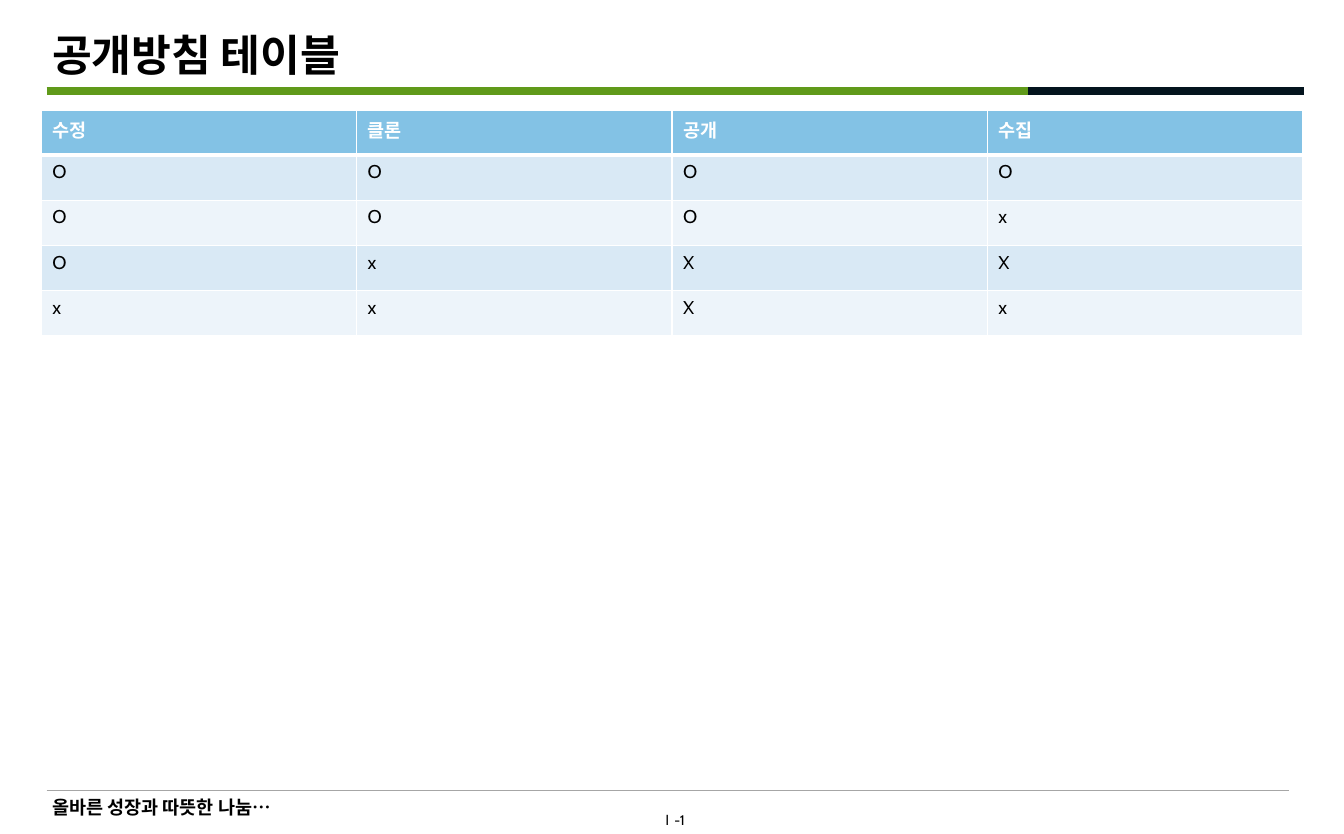
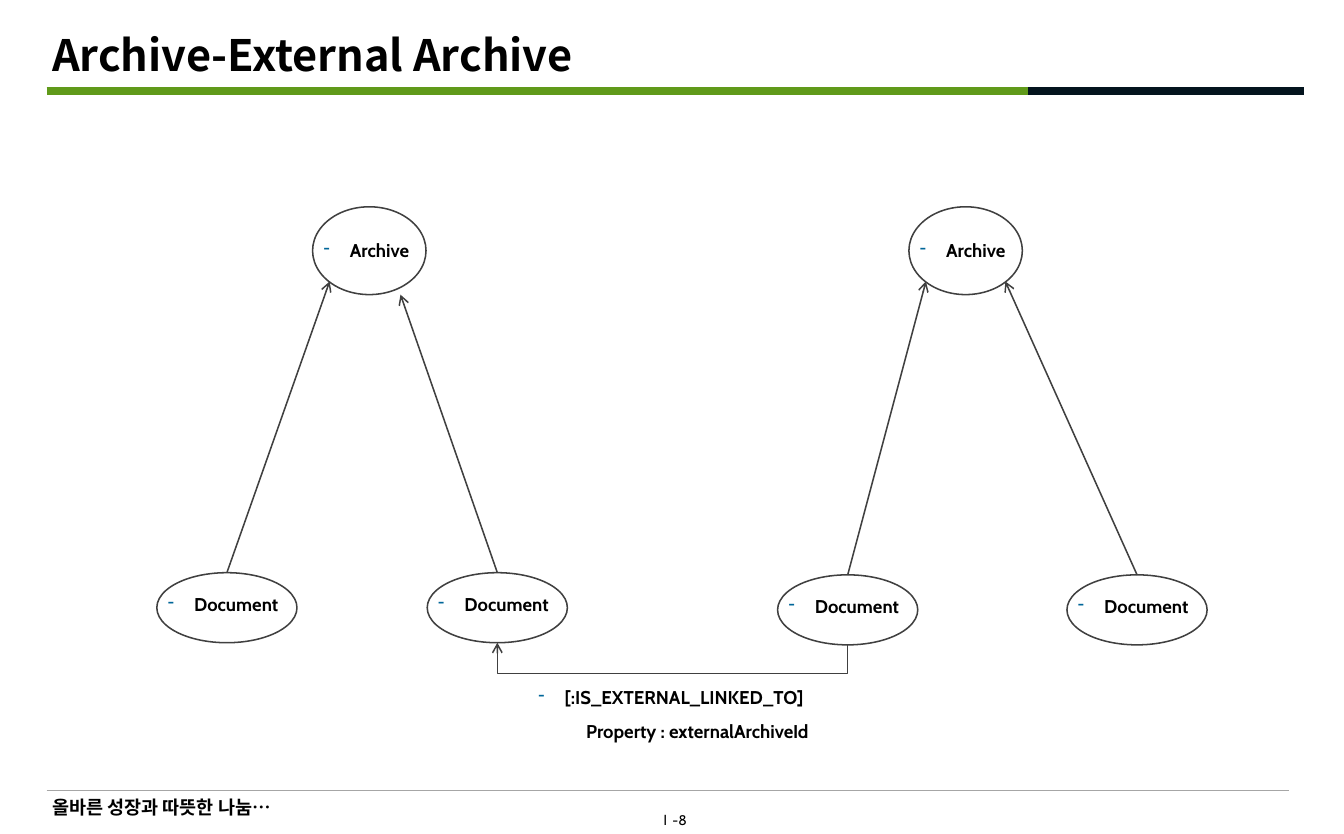
from lxml import etree
from pptx import Presentation
from pptx.dml.color import RGBColor
from pptx.enum.shapes import MSO_CONNECTOR, MSO_SHAPE
from pptx.enum.text import MSO_ANCHOR, PP_ALIGN
from pptx.oxml.ns import qn
from pptx.util import Inches, Pt

STRAIGHT, ELBOW = MSO_CONNECTOR.STRAIGHT, MSO_CONNECTOR.ELBOW
ELLIPSE = MSO_SHAPE.OVAL
TOP, MIDDLE = MSO_ANCHOR.TOP, MSO_ANCHOR.MIDDLE
LEFT, CENTER = PP_ALIGN.LEFT, PP_ALIGN.CENTER

BODY_FONT, TITLE_FONT = "Cabin", "Noto Sans CJK KR"
BLACK, WHITE = "000000", "FFFFFF"
GREEN, NAVY, RULE_GRAY = "609A1A", "04141E", "A6A6A6"
OUTLINE, BULLET_BLUE = "404040", "006699"
HEADER_FILL, BAND_FILLS = "83C2E5", ("D9E9F5", "EDF4FA")

MARGIN, CONTENT_WIDTH = 3.06, 93.87
RULE_LEFT, TITLE_RULE, FOOTER_RULE = 3.48, 10.93, 94.8
DIAGONAL = 0.35


def color(value):
    return RGBColor.from_string(value)


def add_node(parent, tag, **attributes):
    return etree.SubElement(parent, qn(tag), attributes)


class Slides:
    def __init__(self):
        self.deck = Presentation()
        self.deck.slide_width = Inches(12.08)
        self.deck.slide_height = Inches(7.5)
        self.page = None

    def x(self, percent):
        return round(self.deck.slide_width * percent / 100)

    def y(self, percent):
        return round(self.deck.slide_height * percent / 100)

    def frame(self, left, top, width, height):
        return self.x(left), self.y(top), self.x(width), self.y(height)

    def start(self, title, number):
        self.page = self.deck.slides.add_slide(self.deck.slide_layouts[6])
        self.line((RULE_LEFT, TITLE_RULE), (79.8, TITLE_RULE), GREEN, 5)
        self.line((RULE_LEFT, FOOTER_RULE), (95.94, FOOTER_RULE), RULE_GRAY, 0.25)
        self.line((76.5, TITLE_RULE), (97, TITLE_RULE), NAVY, 5)
        self.text("올바른 성장과 따뜻한 나눔…", MARGIN, 95.2, 21.52, 3.2, anchor=MIDDLE)
        self.text(title, MARGIN, 1.73, CONTENT_WIDTH, 9.47, 28, TITLE_FONT, anchor=MIDDLE)
        self.page_number(number)

    def page_number(self, number):
        box = self.text("Ⅰ", 42.47, 96.53, 15.15, 3.47, 9, bold=False, align=CENTER)
        para = box.text_frame.paragraphs[0]
        para.line_spacing = 1.05
        para.runs[0].font.name = TITLE_FONT
        span = para.add_run()
        span.text = f"-{number}"

    def style(self, para, size=12, font=BODY_FONT, bold=True, ink=BLACK):
        para.font.size = Pt(size)
        para.font.bold = bold
        para.font.name = font
        para.font.color.rgb = color(ink)
        add_node(para._p.pPr.find(qn("a:defRPr")), "a:ea", typeface=TITLE_FONT)

    def add_bullet(self, para):
        props = para._p.get_or_add_pPr()
        props.set("marL", str(Pt(17)))
        props.set("indent", str(-Pt(17)))
        add_node(add_node(props, "a:buClr"), "a:srgbClr", val=BULLET_BLUE)
        add_node(props, "a:buChar", char="-")

    def text(self, words, left, top, width, height, size=12, font=BODY_FONT,
             bold=True, align=LEFT, anchor=TOP, bullet=False):
        box = self.page.shapes.add_textbox(*self.frame(left, top, width, height))
        box.text_frame.word_wrap = True
        box.text_frame.vertical_anchor = anchor
        para = box.text_frame.paragraphs[0]
        para.text = words
        if bullet:
            self.add_bullet(para)
        para.alignment = align
        self.style(para, size, font, bold)
        return box

    def line(self, start, end, ink=OUTLINE, weight=1, arrow=False, kind=STRAIGHT):
        line = self.page.shapes.add_connector(
            kind, self.x(start[0]), self.y(start[1]), self.x(end[0]), self.y(end[1]))
        line.line.color.rgb = color(ink)
        line.line.width = Pt(weight)
        if arrow:
            add_node(line.line._get_or_add_ln(), "a:tailEnd", type="arrow")
        add_node(line._element.spPr, "a:effectLst")
        return line

    def elbow_below(self, start, end, drop):
        link = self.line(start, end, arrow=True, kind=ELBOW)
        span, gap = link.width, link.height
        center_x, center_y = link.left + span // 2, link.top + gap // 2
        link.left, link.top = center_x - gap // 2, center_y - span // 2
        link.width, link.height = gap, span
        props = link._element.spPr
        frame = props.find(qn("a:xfrm"))
        frame.attrib.pop("flipV", None)
        frame.set("flipH", "1")
        frame.set("rot", str(90 * 60000))
        bend = -round(self.y(drop) / gap * 100000)
        guides = props.find(qn("a:prstGeom")).find(qn("a:avLst"))
        add_node(guides, "a:gd", name="adj1", fmla=f"val {bend}")

    def node(self, words, left, top, width, height, label_drop, label_width):
        ellipse = self.page.shapes.add_shape(ELLIPSE, *self.frame(left, top, width, height))
        ellipse.shadow.inherit = False
        ellipse.fill.solid()
        ellipse.fill.fore_color.rgb = color(WHITE)
        ellipse.line.color.rgb = color(OUTLINE)
        ellipse.line.width = Pt(1)
        label = self.text(words, left, top + label_drop, label_width, 4, bullet=True)
        self.page.shapes.add_group_shape([ellipse, label])

    def borders(self, cell, top, bottom):
        props = cell._tc.get_or_add_tcPr()
        sides = (("L", 1), ("R", 1), ("T", top), ("B", bottom))
        for place, (side, weight) in enumerate(sides):
            edge = etree.Element(qn(f"a:ln{side}"), w=str(Pt(weight)))
            add_node(add_node(edge, "a:solidFill"), "a:srgbClr", val=WHITE)
            props.insert(place, edge)

    def table(self, rows, left, top, width, height):
        table = self.page.shapes.add_table(
            len(rows), len(rows[0]), *self.frame(left, top, width, height)).table
        for r, row in enumerate(rows):
            header = r == 0
            for c, words in enumerate(row):
                cell = table.cell(r, c)
                cell.text = words
                cell.fill.solid()
                cell.fill.fore_color.rgb = color(HEADER_FILL if header else BAND_FILLS[(r - 1) % 2])
                self.borders(cell, 3 if r == 1 else 1, 3 if header else 1)
                self.style(cell.text_frame.paragraphs[0], bold=header,
                           ink=WHITE if header else BLACK)


def build_policy_table(slides):
    slides.start("공개방침 테이블", 1)
    rows = [("수정", "클론", "공개", "수집"), "OOOO", "OOOx", "OxXX", "xxXx"]
    slides.table(rows, MARGIN, 13.2, CONTENT_WIDTH, 27.07)


def build_archive_links(slides):
    slides.start("Archive-External Archive", 8)
    archive_top, archive_width, archive_height = 24.8, 8.44, 10.53
    document_width, document_height = 10.43, 8.4
    archives = (23.26, 67.63)
    documents = ((11.67, 68.67), (31.79, 68.67), (57.86, 68.93), (79.39, 68.93))

    for left in archives:
        slides.node("Archive", left, archive_top, archive_width, archive_height, 3.2, 9.11)
    for left, top in documents:
        slides.node("Document", left, top, document_width, document_height, 1.73, document_width)

    lower_edge = archive_top + archive_height * (0.5 + DIAGONAL)
    (left_a, right_a), (left_b, right_b) = [
        [(left + archive_width * (0.5 + side * DIAGONAL), lower_edge) for side in (-1, 1)]
        for left in archives]
    right_a = (29.8, archive_top + archive_height)
    heads = [(left + document_width / 2, top) for left, top in documents]
    for start, end in zip(heads, (left_a, right_a, left_b, right_b)):
        slides.line(start, end, arrow=True)

    target, source = [(x, y + document_height) for x, y in heads[1:3]]
    slides.elbow_below(source, target, 3.4)
    slides.text("[:IS_EXTERNAL_LINKED_TO]", 39.24, 81.6, 21.52, 4, bullet=True)
    slides.text("Property : externalArchiveId", 42.8, 85.73, 19.87, 4)


def main():
    slides = Slides()
    build_policy_table(slides)
    build_archive_links(slides)
    slides.deck.save("out.pptx")


if __name__ == "__main__":
    main()
